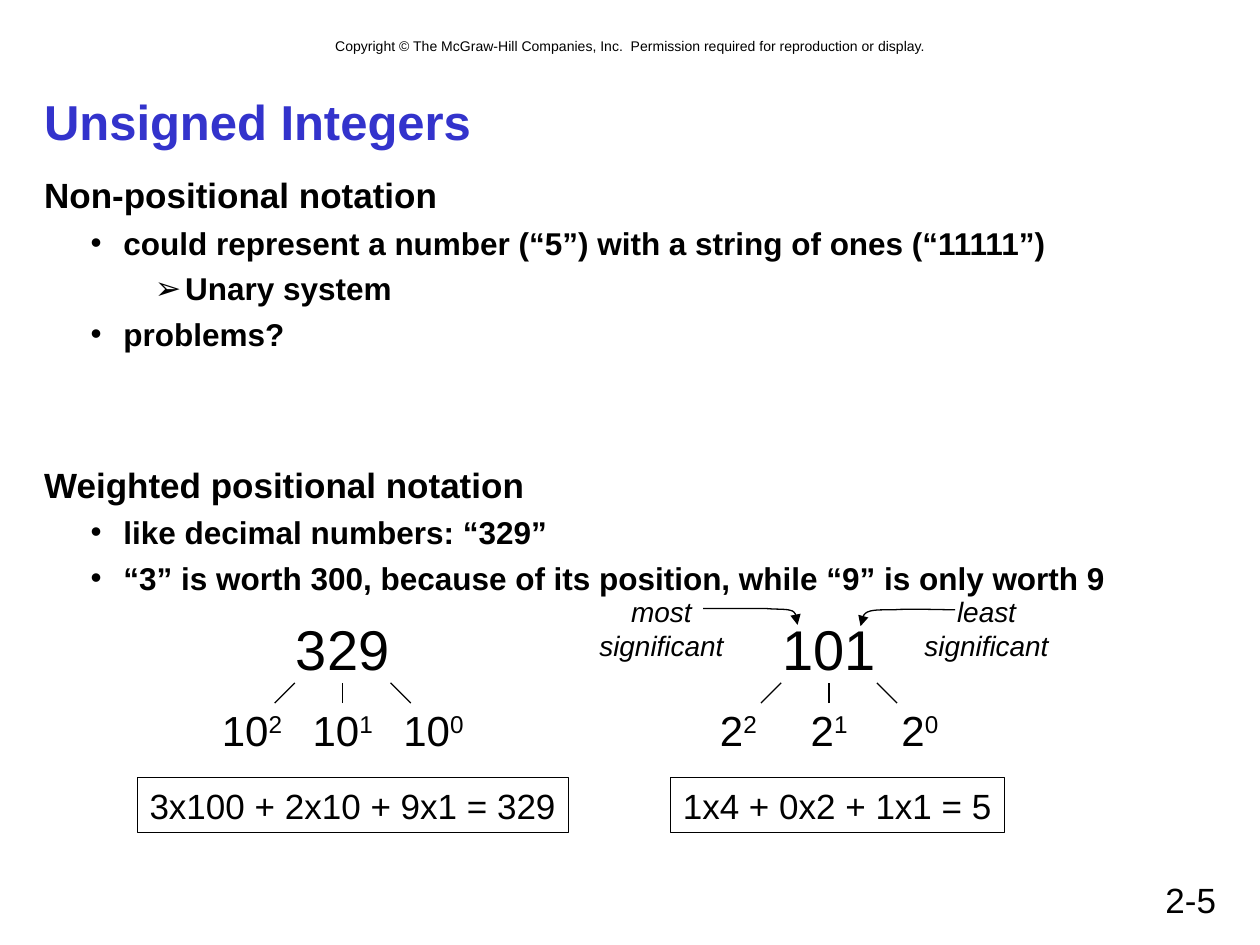
import pptx
import pptx.util
import pptx.dml.color
import pptx.enum.shapes
import pptx.enum.text
import pptx.oxml
import pptx.oxml.ns
from lxml import etree
from pptx.util import Inches, Pt

ALIGN = pptx.enum.text.PP_ALIGN
ANCHOR = pptx.enum.text.MSO_ANCHOR
AUTOSIZE = pptx.enum.text.MSO_AUTO_SIZE
qn = pptx.oxml.ns.qn

THEME = {
    "font": "Arial",
    "text": pptx.dml.color.RGBColor(0x00, 0x00, 0x00),
    "title": pptx.dml.color.RGBColor(0x33, 0x33, 0xCC),
    "line": 0.75,
    "sizes": {"copyright": 8, "label": 16, "point": 18, "heading": 20, "sum": 20,
              "page": 20, "weight": 24, "title": 28, "number": 32},
}

COPYRIGHT = ("Copyright © The McGraw-Hill Companies, Inc.  "
             "Permission required for reproduction or display.")
TITLE = "Unsigned Integers"
PAGE = "2-5"
OUTLINE = [
    (0, "Non-positional notation", 0),
    (1, "could represent a number (“5”) with a string of ones (“11111”)", 4.5),
    (2, "Unary system", 4.5),
    (1, "problems?", 4.5),
    (0, "Weighted positional notation", 63),
    (1, "like decimal numbers: “329”", 4.5),
    (1, "“3” is worth 300, because of its position, while “9” is only worth 9", 4.5),
]
LEVELS = [
    {"size": "heading", "margin": 0, "indent": 0, "bullet": None},
    {"size": "point", "margin": 0.63, "indent": -0.26, "bullet": "•"},
    {"size": "point", "margin": 1.12, "indent": -0.24, "bullet": "➢"},
]
EXPANSIONS = [
    {"number": "329", "base": "10", "centre": 2.72, "weight_width": 0.68,
     "sum": "3x100 + 2x10 + 9x1 = 329", "sum_left": 1.09, "sum_width": 3.42},
    {"number": "101", "base": "2", "centre": 6.58, "weight_width": 0.49,
     "sum": "1x4 + 0x2 + 1x1 = 5", "sum_left": 5.32, "sum_width": 2.65},
]
POWERS = ["2", "1", "0"]
WEIGHT_STEP = 0.72
TICK_TOP, TICK_BOTTOM = 0.38, 0.54
LABELS = [("most\nsignificant", 5.25), ("least\nsignificant", 7.83)]
LABEL_WIDTH = 1.26
POINTERS = [
    [(5.58, 4.83), (5.67, 4.83), (5.96, 4.83), (6.08, 4.83), (6.19, 4.84),
     (6.24, 4.83), (6.29, 4.85), (6.33, 4.87), (6.32, 4.94), (6.33, 4.96)],
    [(7.58, 4.84), (7.5, 4.84), (7.2, 4.83), (7.09, 4.84), (6.97, 4.84),
     (6.92, 4.84), (6.88, 4.86), (6.84, 4.88), (6.84, 4.94), (6.83, 4.97)],
]


def style(font, role, color=THEME["text"], bold=False, italic=False):
    font.name = THEME["font"]
    font.size = Pt(THEME["sizes"][role])
    font.color.rgb = color
    font.bold = bold
    font.italic = italic


def write(frame, text, role, align=ALIGN.CENTER, wrap=False, **look):
    frame.text = text
    frame.word_wrap = wrap
    for paragraph in frame.paragraphs:
        paragraph.alignment = align
        for run in paragraph.runs:
            style(run.font, role, **look)


def add_text(shapes, text, role, left, top, width, height, **options):
    box = shapes.add_textbox(Inches(left), Inches(top), Inches(width), Inches(height))
    write(box.text_frame, text, role, **options)
    return box.text_frame


def place(holder, left, top, width, height, anchor):
    holder.left, holder.top = Inches(left), Inches(top)
    holder.width, holder.height = Inches(width), Inches(height)
    holder.text_frame.auto_size = AUTOSIZE.NONE
    holder.text_frame.vertical_anchor = anchor


def draw_line(line):
    line.color.rgb = THEME["text"]
    line.width = Pt(THEME["line"])


def set_bullet(paragraph, level):
    properties = paragraph._p.get_or_add_pPr()
    properties.set("marL", str(Inches(level["margin"])))
    properties.set("indent", str(Inches(level["indent"])))
    if level["bullet"] is None:
        etree.SubElement(properties, qn("a:buNone"))
        return
    color = etree.SubElement(properties, qn("a:buClr"))
    etree.SubElement(color, qn("a:srgbClr"), val=str(THEME["text"]))
    etree.SubElement(properties, qn("a:buFont"), typeface=THEME["font"])
    etree.SubElement(properties, qn("a:buChar"), char=level["bullet"])


def fill_outline(body):
    body.text_frame.text = "\n".join(text for _, text, _ in OUTLINE)
    for paragraph, (depth, _, gap) in zip(body.text_frame.paragraphs, OUTLINE):
        level = LEVELS[depth]
        paragraph.level = depth
        set_bullet(paragraph, level)
        paragraph.space_before = Pt(gap)
        style(paragraph.runs[0].font, level["size"], bold=True)


def add_expansion(slide, expansion):
    shapes = slide.shapes.add_group_shape().shapes
    centre, width = expansion["centre"], expansion["weight_width"]
    add_text(shapes, expansion["number"], "number", centre - 0.47, 4.83, 0.94, 0.64)
    for side, power in zip((-1, 0, 1), POWERS):
        middle = centre + side * WEIGHT_STEP
        weight = add_text(shapes, expansion["base"], "weight",
                          middle - width / 2, 5.54, width, 0.5)
        exponent = weight.paragraphs[0].add_run()
        exponent.text = power
        style(exponent.font, "weight")
        exponent._r.get_or_add_rPr().set("baseline", "30000")
        tick = shapes.add_connector(
            pptx.enum.shapes.MSO_CONNECTOR.STRAIGHT,
            Inches(centre + side * TICK_BOTTOM), Inches(5.58),
            Inches(centre + side * TICK_TOP), Inches(5.42))
        draw_line(tick.line)
        etree.SubElement(tick._element.spPr, qn("a:effectLst"))


def add_sum(slide, expansion):
    box = slide.shapes.add_shape(
        pptx.enum.shapes.MSO_SHAPE.RECTANGLE, Inches(expansion["sum_left"]),
        Inches(6.17), Inches(expansion["sum_width"]), Inches(0.44))
    box.shadow.inherit = False
    box.fill.background()
    draw_line(box.line)
    write(box.text_frame, expansion["sum"], "sum")


def curve_points(controls, steps=8):
    for first in range(0, len(controls) - 1, 3):
        for step in range(1, steps + 1):
            t = step / steps
            factors = ((1 - t) ** 3, 3 * t * (1 - t) ** 2, 3 * t ** 2 * (1 - t), t ** 3)
            yield tuple(Inches(sum(f * point[axis] for f, point in
                                   zip(factors, controls[first:first + 4])))
                        for axis in (0, 1))


def add_pointer(slide, controls):
    x, y = controls[0]
    builder = slide.shapes.build_freeform(Inches(x), Inches(y))
    builder.add_line_segments(list(curve_points(controls)), close=False)
    pointer = builder.convert_to_shape()
    pointer.shadow.inherit = False
    pointer.fill.background()
    draw_line(pointer.line)
    etree.SubElement(pointer.line._get_or_add_ln(), qn("a:tailEnd"), type="triangle")


def main():
    deck = pptx.Presentation()
    deck.slide_width, deck.slide_height = Inches(10), Inches(7.5)
    slide = deck.slides.add_slide(deck.slide_layouts[1])
    title, body = slide.placeholders

    add_text(slide.shapes, COPYRIGHT, "copyright", 0.67, 0.25, 8.67, 0.24, wrap=True)
    add_text(slide.shapes, PAGE, "page", 7.17, 6.92, 2.58, 0.42,
             align=ALIGN.RIGHT, wrap=True)
    place(title, 0.25, 0.67, 9.5, 0.58, ANCHOR.MIDDLE)
    write(title.text_frame, TITLE, "title", align=ALIGN.LEFT, wrap=True,
          color=THEME["title"], bold=True)
    place(body, 0.25, 1.33, 9.53, 3.75, ANCHOR.TOP)
    fill_outline(body)

    for expansion in EXPANSIONS:
        add_expansion(slide, expansion)
        add_sum(slide, expansion)
    for label, centre in LABELS:
        add_text(slide.shapes, label, "label", centre - LABEL_WIDTH / 2, 4.67,
                 LABEL_WIDTH, 0.64, italic=True)
    for controls in POINTERS:
        add_pointer(slide, controls)
    deck.save("out.pptx")


if __name__ == "__main__":
    main()
